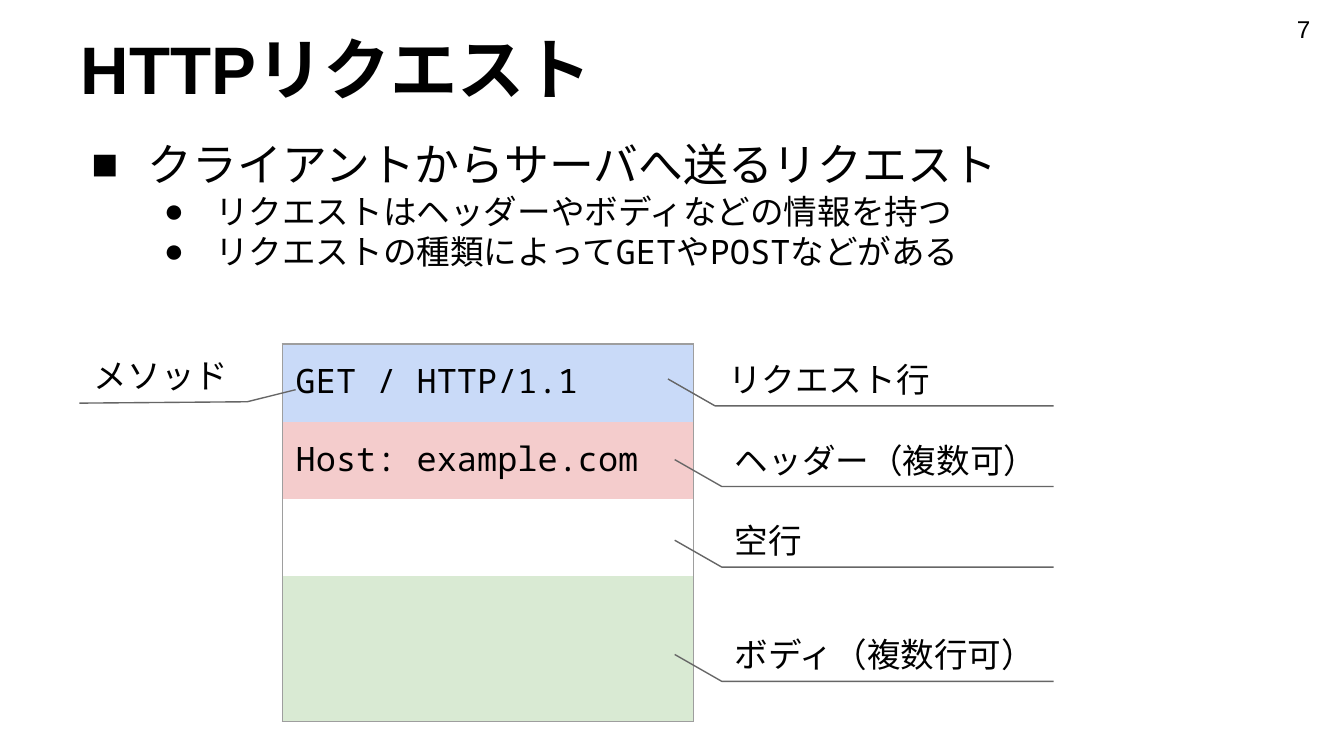
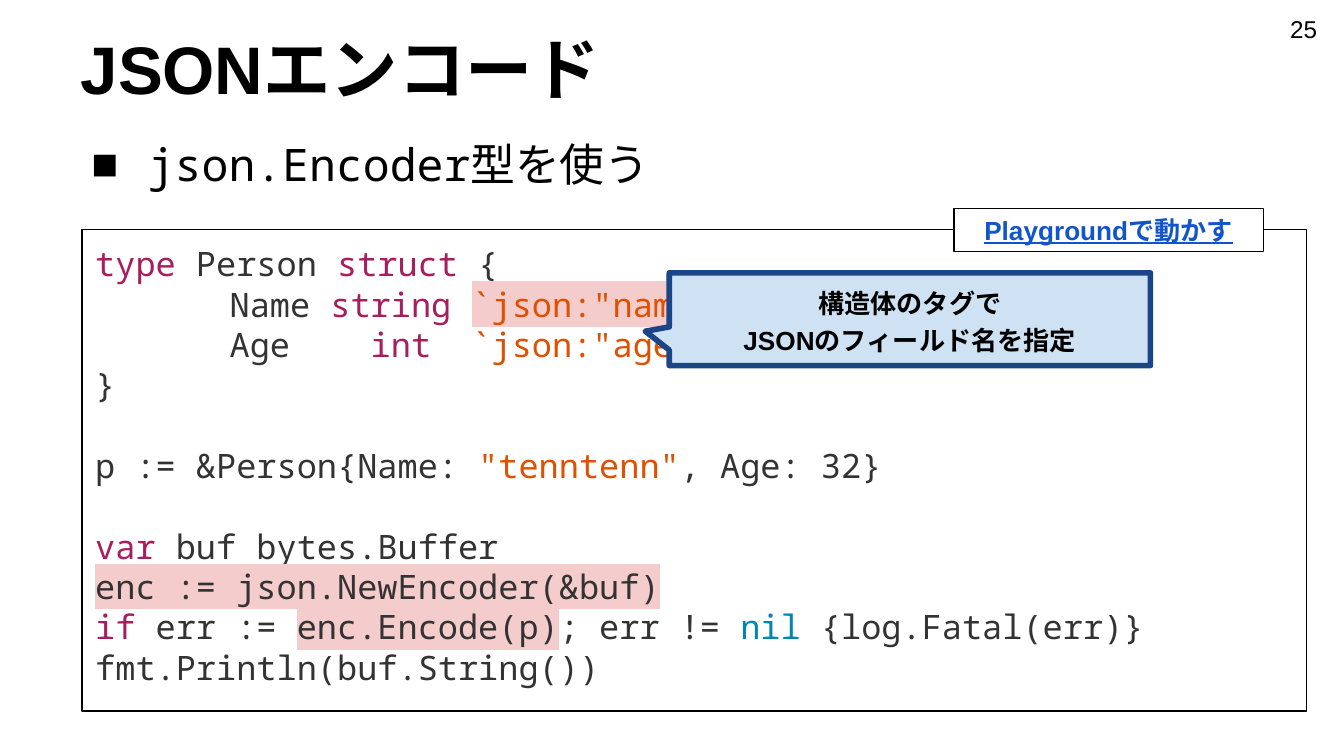
from copy import deepcopy
from dataclasses import dataclass

from lxml.etree import SubElement
from pptx import Presentation
from pptx.dml.color import RGBColor
from pptx.enum.shapes import MSO_SHAPE
from pptx.enum.text import MSO_ANCHOR, MSO_AUTO_SIZE, PP_ALIGN
from pptx.oxml.ns import qn
from pptx.util import Inches, Pt

COLORS = {
    "text": "000000",
    "request_line": "C9DAF8",
    "header": "F4CCCC",
    "body": "D9EAD3",
    "table_border": "9E9E9E",
    "leader": "666666",
    "code": "333333",
    "keyword": "A71D5D",
    "string": "DF5000",
    "constant": "0086B3",
    "highlight": "F4CCCC",
    "callout": "CFE2F3",
    "callout_border": "1C4587",
    "link": "1155CC",
    "paper": "FFFFFF",
}
SANS = "Arial"
MONO = "Noto Sans Mono"
LEADER_END = 7.84


@dataclass(frozen=True)
class Span:
    text: str
    font: str = SANS
    color: str = "text"
    highlighted: bool = False


@dataclass(frozen=True)
class BodyLine:
    level: int
    spans: tuple[Span, ...]


@dataclass(frozen=True)
class LevelStyle:
    size: int
    bullet: str
    margin: float
    hanging: float


@dataclass(frozen=True)
class MessagePart:
    text: str
    height: float
    color: str | None


@dataclass(frozen=True)
class PartLabel:
    text: str
    left: float
    top: float
    width: float


LEVELS = (LevelStyle(24, "■", 0.5, 0.42), LevelStyle(18, "●", 1, 0.38))

REQUEST_BODY = (
    BodyLine(0, (Span("クライアントからサーバへ送るリクエスト"),)),
    BodyLine(1, (Span("リクエストはヘッダーやボディなどの情報を持つ"),)),
    BodyLine(1, (
        Span("リクエストの種類によって"), Span("GET", MONO), Span("や"),
        Span("POST", MONO), Span("などがある"),
    )),
)
ENCODER_BODY = (BodyLine(0, (Span("json.Encoder", MONO), Span("型を使う"))),)

MESSAGE_PARTS = (
    MessagePart("GET / HTTP/1.1", 0.58, "request_line"),
    MessagePart("Host: example.com", 0.57, "header"),
    MessagePart("", 0.58, None),
    MessagePart("", 1.08, "body"),
)
PART_LABELS = (
    PartLabel("リクエスト行", 5.32, 2.57, 1.8),
    PartLabel("ヘッダー（複数可）", 5.37, 3.17, 2.74),
    PartLabel("空行", 5.37, 3.77, 2.74),
    PartLabel("ボディ（複数行可）", 5.37, 4.62, 2.74),
)


def code(text: str, color: str = "code", highlighted: bool = False) -> Span:
    return Span(text, MONO, color, highlighted)


PERSON_CODE = (
    code("type", "keyword"), code(" Person "), code("struct", "keyword"),
    code(" {\n\tName "), code("string ", "keyword"),
    code('`json:"name"`\n', "string", True),
    code("\tAge    "), code("int  ", "keyword"),
    code('`json:"age"`\n', "string"),
    code("}\n\np := &Person{Name: "), code('"tenntenn"', "string"),
    code(", Age: 32}\n\n"),
    code("var", "keyword"), code(" buf bytes.Buffer\n"),
    code("enc := json.NewEncoder(&buf)\n", highlighted=True),
    code("if", "keyword"), code(" err := "),
    code("enc.Encode(p)", highlighted=True), code("; err != "),
    code("nil", "constant"),
    code(" {log.Fatal(err)}\nfmt.Println(buf.String())"),
)


def rgb(name: str) -> RGBColor:
    return RGBColor.from_string(COLORS[name])


def place(shape, left: float, top: float, width: float, height: float) -> None:
    shape.left, shape.top = Inches(left), Inches(top)
    shape.width, shape.height = Inches(width), Inches(height)


def format_run(run, size: float, font: str = SANS, color: str = "text", bold: bool = False) -> None:
    run.font.size = Pt(size)
    run.font.name = font
    run.font.bold = bold
    run.font.color.rgb = rgb(color)
    east_asian = SubElement(run._r.rPr, qn("a:ea"))
    east_asian.set("typeface", font)
    run._r.rPr.find(qn("a:latin")).addnext(east_asian)


def format_frame(frame, anchor=MSO_ANCHOR.TOP) -> None:
    frame.word_wrap = True
    frame.auto_size = MSO_AUTO_SIZE.NONE
    frame.vertical_anchor = anchor
    frame.margin_left = frame.margin_right = Inches(0.1)
    frame.margin_top = frame.margin_bottom = Inches(0.1)


def write_text(frame, text: str, size: float, color: str = "text", bold: bool = False,
               align=PP_ALIGN.LEFT, anchor=MSO_ANCHOR.TOP) -> None:
    format_frame(frame, anchor)
    frame.text = text
    for paragraph in frame.paragraphs:
        paragraph.alignment = align
        for run in paragraph.runs:
            format_run(run, size, color=color, bold=bold)


def add_spans(paragraph, spans: tuple[Span, ...], size: float) -> None:
    """Write the spans as runs, with a line break for each newline."""
    for span in spans:
        for index, piece in enumerate(span.text.split("\n")):
            if index:
                paragraph.add_line_break()
                paragraph._p[-1].append(deepcopy(run._r.rPr))
            run = paragraph.add_run()
            run.text = piece
            format_run(run, size, span.font, span.color)
            if span.highlighted and piece:
                highlight = SubElement(run._r.rPr, qn("a:highlight"))
                SubElement(highlight, qn("a:srgbClr")).set("val", COLORS["highlight"])
                run._r.rPr.find(qn("a:solidFill")).addnext(highlight)
            if not piece:
                paragraph._p.remove(run._r)


def set_bullet(paragraph, style: LevelStyle) -> None:
    properties = paragraph._p.get_or_add_pPr()
    properties.set("marL", str(Inches(style.margin)))
    properties.set("indent", str(-Inches(style.hanging)))
    bullet_color = SubElement(properties, qn("a:buClr"))
    SubElement(bullet_color, qn("a:srgbClr")).set("val", COLORS["text"])
    SubElement(properties, qn("a:buFont")).set("typeface", SANS)
    SubElement(properties, qn("a:buChar")).set("char", style.bullet)


def add_label(slide, text: str, left: float, top: float, width: float, height: float = 0.37,
              size: float = 18, **style) -> None:
    label = slide.shapes.add_textbox(0, 0, 0, 0)
    place(label, left, top, width, height)
    write_text(label.text_frame, text, size, **style)


def add_box(slide, kind, bounds: tuple[float, ...], fill: str | None, line: str = "text",
            line_width: float = 0.75):
    box = slide.shapes.add_shape(kind, 0, 0, 0, 0)
    place(box, *bounds)
    box.shadow.inherit = False
    if fill:
        box.fill.solid()
        box.fill.fore_color.rgb = rgb(fill)
    else:
        box.fill.background()
    box.line.color.rgb = rgb(line)
    box.line.width = Pt(line_width)
    return box


def add_leader(slide, *points: tuple[float, float]) -> None:
    start, *others = [(Inches(x), Inches(y)) for x, y in points]
    builder = slide.shapes.build_freeform(*start)
    builder.add_line_segments(others, close=False)
    leader = builder.convert_to_shape()
    leader.shadow.inherit = False
    leader.fill.background()
    leader.line.color.rgb = rgb("leader")
    leader.line.width = Pt(0.75)


def add_page(presentation, title: str, lines: tuple[BodyLine, ...], body_height: float, number: int):
    slide = presentation.slides.add_slide(presentation.slide_layouts[1])
    place(slide.shapes.title, 0.5, 0.22, 9, 0.56)
    write_text(slide.shapes.title.text_frame, title, 36, bold=True, anchor=MSO_ANCHOR.MIDDLE)

    body = slide.placeholders[1]
    place(body, 0.5, 0.92, 9, body_height)
    frame = body.text_frame
    format_frame(frame)
    for index, line in enumerate(lines):
        paragraph = frame.add_paragraph() if index else frame.paragraphs[0]
        paragraph.level = line.level
        paragraph.space_before = Pt(0)
        set_bullet(paragraph, LEVELS[line.level])
        add_spans(paragraph, line.spans, LEVELS[line.level].size)

    add_label(slide, str(number), 9.4, 0, 0.6, 0.43, size=13,
              align=PP_ALIGN.CENTER, anchor=MSO_ANCHOR.MIDDLE)
    return slide


def set_cell_borders(cell, visible_sides: str) -> None:
    """Draw the sides named by their letters (L, R, T, B) and hide the others."""
    properties = cell._tc.get_or_add_tcPr()
    for index, side in enumerate("LRTB"):
        border = SubElement(properties, qn(f"a:ln{side}"))
        properties.insert(index, border)
        border.set("w", str(Pt(0.75)))
        if side in visible_sides:
            fill = SubElement(border, qn("a:solidFill"))
            SubElement(fill, qn("a:srgbClr")).set("val", COLORS["table_border"])
        else:
            SubElement(border, qn("a:noFill"))


def add_message_table(slide) -> None:
    height = sum(part.height for part in MESSAGE_PARTS)
    table = slide.shapes.add_table(
        len(MESSAGE_PARTS), 1, Inches(2.1), Inches(2.56), Inches(3.06), Inches(height)).table
    table.first_row = table.horz_banding = False
    for index, part in enumerate(MESSAGE_PARTS):
        table.rows[index].height = Inches(part.height)
        cell = table.cell(index, 0)
        cell.margin_left = cell.margin_right = Inches(0.1)
        cell.margin_top = cell.margin_bottom = Inches(0.1)
        if part.color:
            cell.fill.solid()
            cell.fill.fore_color.rgb = rgb(part.color)
        else:
            cell.fill.background()
        if part.text:
            add_spans(cell.text_frame.paragraphs[0], (Span(part.text, MONO),), 18)
        top = "T" if index == 0 else ""
        bottom = "B" if index == len(MESSAGE_PARTS) - 1 else ""
        set_cell_borders(cell, "LR" + top + bottom)


def add_request_slide(presentation) -> None:
    slide = add_page(presentation, "HTTPリクエスト", REQUEST_BODY, 1.47, 7)
    add_message_table(slide)
    for label in PART_LABELS:
        add_label(slide, label.text, label.left, label.top, label.width)
        line_y = label.top + 0.45
        add_leader(slide, (label.left - 0.35, line_y - 0.2), (label.left, line_y), (LEADER_END, line_y))
    add_leader(slide, (2.2, 2.9), (1.84, 2.99), (0.59, 3))
    add_label(slide, "メソッド", 0.6, 2.54, 1.27)


def add_encoder_slide(presentation) -> None:
    slide = add_page(presentation, "JSONエンコード", ENCODER_BODY, 4.47, 25)
    code_box = add_box(slide, MSO_SHAPE.RECTANGLE, (0.61, 1.71, 9.11, 3.58), None)
    format_frame(code_box.text_frame)
    paragraph = code_box.text_frame.paragraphs[0]
    paragraph.alignment = PP_ALIGN.LEFT
    paragraph._p.get_or_add_pPr().set("defTabSz", str(Inches(1)))
    add_spans(paragraph, PERSON_CODE, 18)

    centered = {"bold": True, "align": PP_ALIGN.CENTER, "anchor": MSO_ANCHOR.MIDDLE}
    callout = add_box(slide, MSO_SHAPE.ROUNDED_RECTANGULAR_CALLOUT, (4.98, 2.03, 3.58, 0.69),
                      "callout", "callout_border", 3)
    for index, value in enumerate((-0.55, 0.13, 0)):
        callout.adjustments[index] = value
    write_text(callout.text_frame, "構造体のタグで\nJSONのフィールド名を指定", 14, **centered)
    for paragraph in callout.text_frame.paragraphs:
        paragraph.line_spacing = 1.15

    run_button = add_box(slide, MSO_SHAPE.RECTANGLE, (7.1, 1.55, 2.3, 0.32), "paper")
    write_text(run_button.text_frame, "Playgroundで動かす", 14, color="link", **centered)
    run_button.text_frame.paragraphs[0].runs[0].font.underline = True


def main() -> None:
    presentation = Presentation()
    presentation.slide_width = Inches(10)
    presentation.slide_height = presentation.slide_width * 9 // 16
    add_request_slide(presentation)
    add_encoder_slide(presentation)
    presentation.save("out.pptx")


if __name__ == "__main__":
    main()
